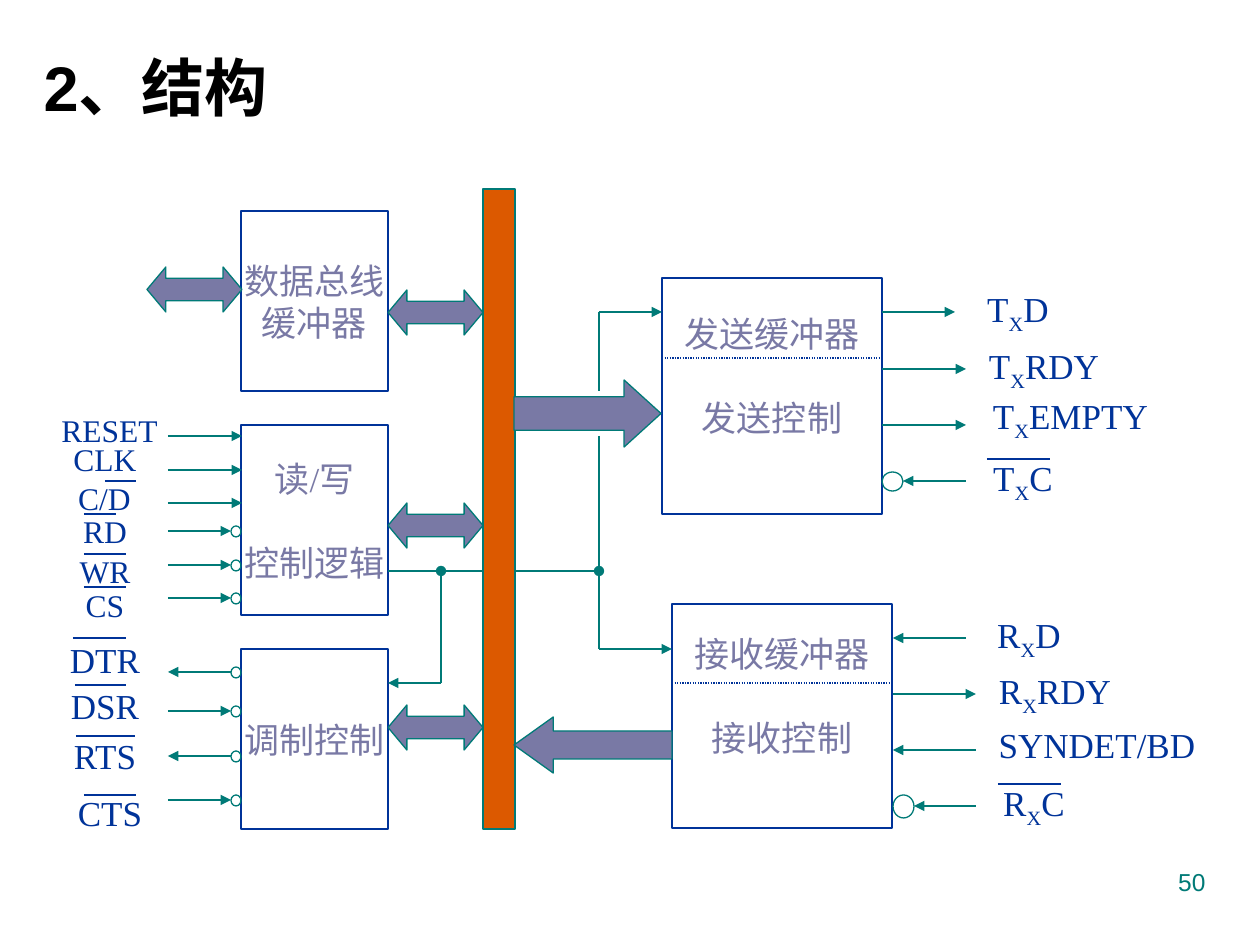
from lxml.etree import SubElement
from pptx import Presentation
from pptx.dml.color import RGBColor
from pptx.enum.dml import MSO_LINE
from pptx.enum.shapes import MSO_CONNECTOR, MSO_SHAPE
from pptx.enum.text import MSO_ANCHOR, PP_ALIGN
from pptx.oxml.ns import qn
from pptx.util import Emu, Pt

NAVY = RGBColor(0x00, 0x33, 0x99)
TEAL = RGBColor(0x00, 0x7A, 0x77)
MAUVE = RGBColor(0x79, 0x79, 0xA5)
RUST = RGBColor(0xDC, 0x59, 0x00)
BLACK = RGBColor(0, 0, 0)
PX = 914400 / 126

deck = Presentation()
deck.slide_width, deck.slide_height = Emu(round(1260 * PX)), Emu(round(945 * PX))
slide = deck.slides.add_slide(deck.slide_layouts[5])
shapes = slide.shapes


def line(x1, y1, x2, y2, color=TEAL, head=None, tail=None):
    ends = [Emu(round(v * PX)) for v in (x1, y1, x2, y2)]
    link = shapes.add_connector(MSO_CONNECTOR.STRAIGHT, *ends)
    link.line.color.rgb = color
    link.line.width = Pt(0.75)
    for tag, kind in (("a:headEnd", head), ("a:tailEnd", tail)):
        if kind:
            SubElement(link.line._get_or_add_ln(), qn(tag), type=kind)
    SubElement(link._element.spPr, qn("a:effectLst"))
    return link


def box(kind, x, y, w, h, fill=None, color=TEAL):
    at = [Emu(round(v * PX)) for v in (x, y, w, h)]
    item = shapes.add_shape(kind, *at)
    item.shadow.inherit = False
    if fill is None:
        item.fill.background()
    else:
        item.fill.solid()
        item.fill.fore_color.rgb = fill
    if color is None:
        item.line.fill.background()
    else:
        item.line.color.rgb = color
        item.line.width = Pt(0.75)
    return item


# Title
title = shapes.title
title.left, title.top, title.width, title.height = [
    Emu(round(v * PX)) for v in (31, 42, 420, 88)]
frame = title.text_frame
frame.text = "2、结构"
frame.vertical_anchor = MSO_ANCHOR.TOP
para = frame.paragraphs[0]
para.alignment = PP_ALIGN.LEFT
para.font.name, para.font.size, para.font.bold = "Arial", Pt(36), True
para.font.color.rgb = BLACK

# Blocks: x, y, w, h, lines, gap between lines in points, bottom inset
blocks = [
    (241, 211, 147, 180, ["数据总线", "缓冲器"], 0, 6),
    (241, 425, 147, 190, ["读/写", "控制逻辑"], 24, 6),
    (241, 649, 147, 180, ["调制控制"], 0, 6),
    (662, 278, 220, 236, ["发送缓冲器", "发送控制"], 24, 48),
    (672, 604, 220, 224, ["接收缓冲器", "接收控制"], 24, 48),
]
for x, y, w, h, rows, gap, inset in blocks:
    frame = box(MSO_SHAPE.RECTANGLE, x, y, w, h, color=NAVY).text_frame
    frame.word_wrap = False
    frame.vertical_anchor = MSO_ANCHOR.MIDDLE
    frame.margin_bottom = Emu(round(inset * PX))
    frame.text = "\n".join(rows)
    for i, para in enumerate(frame.paragraphs):
        para.alignment = PP_ALIGN.CENTER
        if i and gap:
            para.space_before = Pt(gap)
        para.font.name, para.font.size = "Times New Roman", Pt(20)
        para.font.color.rgb = MAUVE

# Dotted dividers between buffer and control
for x, y in ((662, 358), (672, 683)):
    line(x, y, x + 220, y, NAVY).line.dash_style = MSO_LINE.ROUND_DOT

# Internal bus and block arrows
box(MSO_SHAPE.RECTANGLE, 483, 189, 32, 640, RUST)
arrows = [
    (MSO_SHAPE.LEFT_RIGHT_ARROW, 147, 267, 95, 45, 0.42),
    (MSO_SHAPE.LEFT_RIGHT_ARROW, 388, 290, 95, 45, 0.42),
    (MSO_SHAPE.LEFT_RIGHT_ARROW, 388, 503, 95, 45, 0.42),
    (MSO_SHAPE.LEFT_RIGHT_ARROW, 388, 705, 95, 45, 0.42),
    (MSO_SHAPE.RIGHT_ARROW, 514, 380, 147, 67, 0.55),
    (MSO_SHAPE.LEFT_ARROW, 514, 717, 158, 56, 0.7),
]
for kind, x, y, w, h, tip in arrows:
    arrow = box(kind, x, y, w, h, MAUVE)
    arrow.adjustments[0], arrow.adjustments[1] = 0.5, tip

# Control wiring
line(388, 571, 483, 571)
line(514, 571, 599, 571, tail="oval")
line(441, 571, 441, 683, head="oval")
line(441, 683, 388, 683, tail="triangle")
line(599, 436, 599, 649)
line(599, 649, 672, 649, tail="triangle")
line(599, 391, 599, 312)
line(599, 312, 662, 312, tail="triangle")

# Signal arrows on the left: y, circle at the block, outgoing
for y, ring, out in ((436, 0, 0), (470, 0, 0), (503, 0, 0), (531, 1, 0),
                     (565, 1, 0), (598, 1, 0), (672, 1, 1), (711, 1, 0),
                     (756, 1, 1), (800, 1, 0)):
    near = 231 if ring else 242
    if ring:
        box(MSO_SHAPE.OVAL, 231, y - 5, 10, 11)
    start, end = (near, 168) if out else (168, near)
    line(start, y, end, y, tail="triangle")

# Signal arrows on the right
for start, end, y in ((882, 955, 312), (882, 966, 369), (882, 966, 425),
                      (966, 903, 481), (966, 893, 638), (893, 976, 694),
                      (976, 893, 750), (976, 914, 806)):
    line(start, y, end, y, tail="triangle")
box(MSO_SHAPE.OVAL, 882, 472, 21, 19)
box(MSO_SHAPE.OVAL, 893, 795, 21, 23)

# Signal names: text with _subscript_, size, x, y, w, h
names = [
    ("RESET", 18, 57, 402, 105, 55),
    ("CLK", 18, 63, 436, 84, 45),
    ("C/D", 18, 73, 470, 63, 55),
    ("RD", 18, 84, 514, 42, 34),
    ("WR", 18, 84, 548, 42, 45),
    ("CS", 18, 84, 582, 42, 45),
    ("DTR", 20, 63, 626, 84, 67),
    ("DSR", 20, 63, 672, 84, 67),
    ("RTS", 20, 63, 728, 84, 55),
    ("CTS", 20, 63, 784, 94, 57),
    ("T_X_D", 20, 976, 278, 84, 67),
    ("T_X_RDY", 20, 976, 335, 136, 67),
    ("T_X_EMPTY", 20, 976, 391, 189, 55),
    ("T_X_C", 20, 976, 447, 94, 67),
    ("R_X_D", 20, 987, 604, 84, 67),
    ("R_X_RDY", 20, 987, 660, 136, 67),
    ("SYNDET/BD", 20, 987, 717, 220, 55),
    ("R_X_C", 20, 987, 772, 94, 67),
]
for text, size, x, y, w, h in names:
    frame = box(MSO_SHAPE.RECTANGLE, x, y, w, h, color=None).text_frame
    frame.word_wrap = False
    frame.vertical_anchor = MSO_ANCHOR.MIDDLE
    para = frame.paragraphs[0]
    para.alignment = PP_ALIGN.CENTER
    para.font.name, para.font.size = "Times New Roman", Pt(size)
    para.font.color.rgb = NAVY
    for i, part in enumerate(text.split("_")):
        run = para.add_run()
        run.text = part
        if i == 1:
            run._r.get_or_add_rPr().set("baseline", "-25000")

# Bars over active-low names
for x1, x2, y in ((105, 136, 481), (84, 116, 514), (84, 126, 554),
                  (84, 126, 587), (73, 126, 638), (75, 126, 685),
                  (76, 135, 736), (84, 136, 795), (987, 1050, 459),
                  (998, 1061, 784)):
    line(x1, y, x2, y, NAVY)

# Page number
at = [Emu(round(v * PX)) for v in (903, 861, 315, 66)]
frame = shapes.add_textbox(*at).text_frame
frame.word_wrap = True
frame.text = "50"
para = frame.paragraphs[0]
para.alignment = PP_ALIGN.RIGHT
para.font.name, para.font.size = "Arial", Pt(14)
para.font.color.rgb = TEAL

deck.save("out.pptx")
